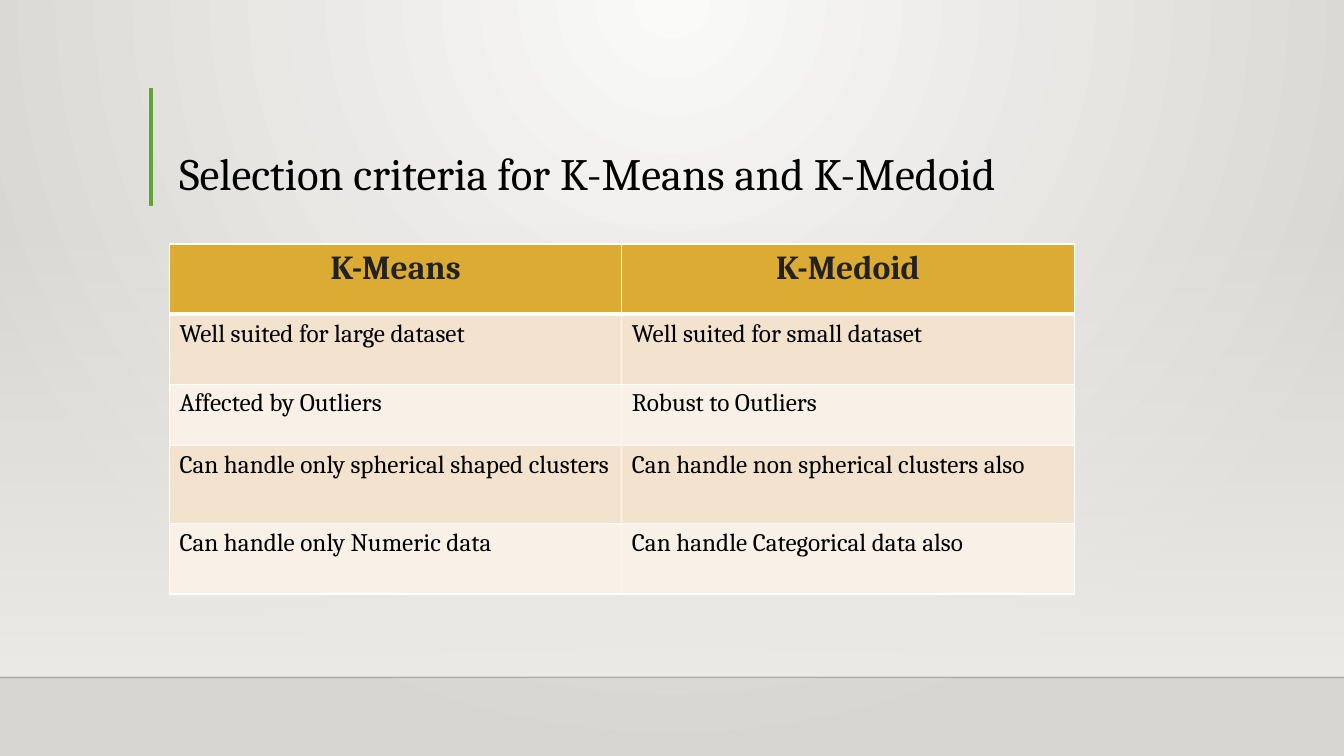
from lxml.etree import SubElement
from pptx import Presentation
from pptx.dml.color import RGBColor
from pptx.enum.shapes import MSO_CONNECTOR, MSO_SHAPE
from pptx.enum.text import MSO_ANCHOR, PP_ALIGN
from pptx.oxml import parse_xml
from pptx.oxml.ns import nsdecls, qn
from pptx.util import Cm, Pt

FONT = "Cambria"
BLACK = RGBColor(0x00, 0x00, 0x00)
CHARCOAL = RGBColor(0x22, 0x22, 0x22)
WHITE = RGBColor(0xFF, 0xFF, 0xFF)
GREEN = RGBColor(0x5F, 0xA5, 0x34)
GOLD = RGBColor(0xDC, 0xAB, 0x34)
SAND = RGBColor(0xF2, 0xE2, 0xCE)
CREAM = RGBColor(0xF9, 0xF1, 0xE8)
GLOW = RGBColor(0xFA, 0xFA, 0xF9)
STONE = RGBColor(0xD7, 0xD5, 0xD2)
HAZE = RGBColor(0xED, 0xEB, 0xE7)

SLIDE_WIDTH, SLIDE_HEIGHT = Cm(33.87), Cm(19.05)
COLUMN_WIDTH = Cm(11.4)
ROW_HEIGHTS = [Cm(1.77), Cm(1.76), Cm(1.54), Cm(1.97), Cm(1.78)]
CRITERIA = [
    ("K-Means", "K-Medoid"),
    ("Well suited for large dataset", "Well suited for small dataset"),
    ("Affected by Outliers", "Robust to Outliers"),
    ("Can handle only spherical shaped clusters", "Can handle non spherical clusters also"),
    ("Can handle only Numeric data", "Can handle Categorical data also"),
]


def write(frame, text, size=18, color=BLACK, bold=False, align=PP_ALIGN.LEFT, spacing=None):
    paragraph = frame.paragraphs[0]
    paragraph.alignment = align
    paragraph.line_spacing = spacing
    run = paragraph.add_run()
    run.text = text
    run.font.name = FONT
    run.font.size = Pt(size)
    run.font.bold = bold
    run.font.color.rgb = color


def set_gradient(fill, start, end):
    fill.gradient()
    for stop, color in zip(fill.gradient_stops, (start, end)):
        stop.color.rgb = color


def set_alpha(color_element, percent):
    SubElement(color_element, qn("a:alpha")).set("val", str(percent * 1000))


def paint_background(slide):
    """Radial gradient that spreads from the middle of the top edge."""
    set_gradient(slide.background.fill, GLOW, STONE)
    linear = next(slide.background._cSld.iter(qn("a:lin")))
    linear.getparent().replace(linear, parse_xml(
        f'<a:path {nsdecls("a")} path="circle">'
        '<a:fillToRect l="43000" t="0" r="43000" b="100000"/></a:path>'))


def add_haze(slide):
    """Panel that fades in from transparent at its top."""
    haze = slide.shapes.add_shape(MSO_SHAPE.RECTANGLE, 0, Cm(5.59), SLIDE_WIDTH, Cm(11.46))
    haze.shadow.inherit = False
    haze.line.fill.background()
    set_gradient(haze.fill, HAZE, HAZE)
    haze.fill.gradient_angle = 270
    set_alpha(next(haze._element.spPr.iter(qn("a:srgbClr"))), 0)


def add_rule(slide, x1, y1, x2, y2, color, width, alpha=100):
    rule = slide.shapes.add_connector(MSO_CONNECTOR.STRAIGHT, x1, y1, x2, y2)
    rule.line.color.rgb = color
    rule.line.width = Pt(width)
    properties = rule._element.spPr
    if alpha < 100:
        set_alpha(next(properties.iter(qn("a:srgbClr"))), alpha)
    SubElement(properties, qn("a:effectLst"))


def add_title(slide, text):
    title = slide.shapes.add_textbox(Cm(4.27), Cm(2.24), Cm(26.44), Cm(2.92))
    title.text_frame.word_wrap = True
    title.text_frame.vertical_anchor = MSO_ANCHOR.BOTTOM
    write(title.text_frame, text, size=32, spacing=0.9)


def set_borders(cell, top=1, bottom=1):
    properties = cell._tc.get_or_add_tcPr()
    widths = {"lnL": 1, "lnR": 1, "lnT": top, "lnB": bottom}
    for index, (side, width) in enumerate(widths.items()):
        properties.insert(index, parse_xml(
            f'<a:{side} {nsdecls("a")} w="{Pt(width)}"><a:solidFill>'
            f'<a:srgbClr val="{WHITE}"/></a:solidFill></a:{side}>'))


def add_criteria_table(slide):
    table = slide.shapes.add_table(
        len(CRITERIA), 2, Cm(4.27), Cm(6.15), 2 * COLUMN_WIDTH, sum(ROW_HEIGHTS)).table
    for column in table.columns:
        column.width = COLUMN_WIDTH
    for row, (height, texts) in enumerate(zip(ROW_HEIGHTS, CRITERIA)):
        table.rows[row].height = height
        for column, text in enumerate(texts):
            cell = table.cell(row, column)
            cell.fill.solid()
            if row == 0:
                cell.fill.fore_color.rgb = GOLD
                write(cell.text_frame, text, size=24, color=CHARCOAL, bold=True,
                      align=PP_ALIGN.CENTER)
            else:
                cell.fill.fore_color.rgb = SAND if row % 2 else CREAM
                write(cell.text_frame, text)
            set_borders(cell, top=3 if row == 1 else 1, bottom=3 if row == 0 else 1)


def main():
    deck = Presentation()
    deck.slide_width, deck.slide_height = SLIDE_WIDTH, SLIDE_HEIGHT
    slide = deck.slides.add_slide(deck.slide_layouts[6])
    paint_background(slide)
    add_haze(slide)
    add_rule(slide, 0, Cm(17.07), SLIDE_WIDTH, Cm(17.07), BLACK, 1, alpha=20)
    add_rule(slide, Cm(3.81), Cm(2.21), Cm(3.81), Cm(5.18), GREEN, 3)
    add_title(slide, "Selection criteria for K-Means and K-Medoid")
    add_criteria_table(slide)
    deck.save("out.pptx")


if __name__ == "__main__":
    main()
